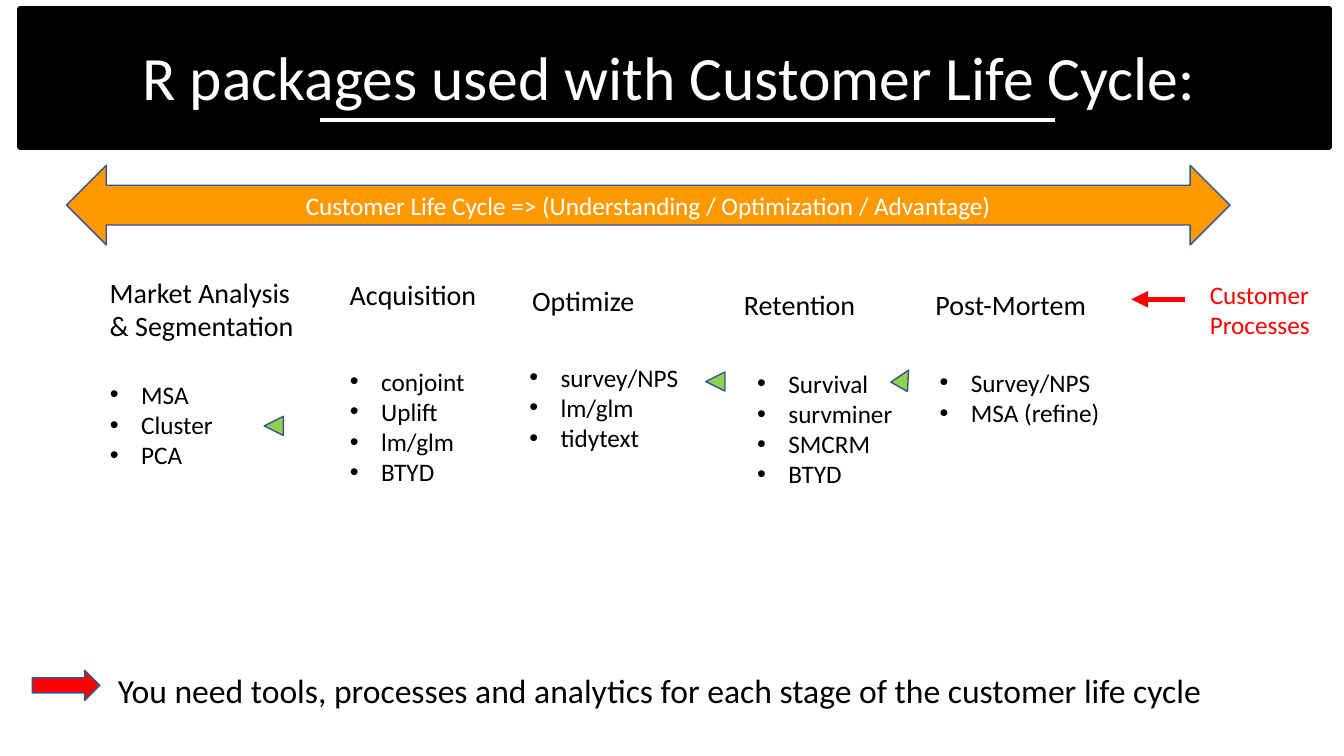
from dataclasses import dataclass

from lxml import etree
from pptx import Presentation
from pptx import util as u
from pptx.dml.color import RGBColor
from pptx.enum import shapes, text
from pptx.oxml.ns import qn

PX = 9144  # EMU, 100 px to the inch
FONT = "Calibri"
COLORS = {
    "black": "000000",
    "white": "FFFFFF",
    "orange": "FF9900",
    "red": "FF0000",
    "green": "92D050",
    "outline": "325491",
}
SHAPE = shapes.MSO_SHAPE
ALIGN = text.PP_ALIGN
BULLET_INDENT = 31


@dataclass(frozen=True)
class Box:
    left: int
    top: int
    width: int
    height: int

    def emu(self) -> tuple[int, int, int, int]:
        return self.left * PX, self.top * PX, self.width * PX, self.height * PX


@dataclass(frozen=True)
class Stage:
    heading: tuple[str, ...]
    heading_box: Box
    packages: tuple[str, ...]
    packages_box: Box


@dataclass(frozen=True)
class Marker:
    left: int
    top: int
    rotation: float


STAGES = (
    Stage(("Market Analysis", "& Segmentation"), Box(99, 268, 214, 77),
          ("MSA", "Cluster", "PCA"), Box(99, 371, 145, 131)),
    Stage(("Acquisition",), Box(337, 270, 147, 44),
          ("conjoint", "Uplift", "lm/glm", "BTYD"), Box(337, 358, 227, 192)),
    Stage(("Optimize",), Box(518, 276, 165, 44),
          ("survey/NPS", "lm/glm", "tidytext"), Box(515, 354, 182, 162)),
    Stage(("Retention",), Box(728, 280, 140, 44),
          ("Survival", "survminer", "SMCRM", "BTYD"), Box(741, 360, 169, 162)),
    Stage(("Post-Mortem",), Box(918, 280, 180, 44),
          ("Survey/NPS", "MSA (refine)"), Box(922, 359, 227, 131)),
)
MARKERS = (Marker(262, 413, 270), Marker(700, 369, 270), Marker(887, 366, 29.6))
MARKER_SIZE = 19


def rgb(color: str) -> RGBColor:
    return RGBColor.from_string(COLORS[color])


def place(sp, box: Box) -> None:
    sp.left, sp.top, sp.width, sp.height = box.emu()


def write(tf, lines: tuple[str, ...], size: int, color: str = "black",
          align=ALIGN.LEFT, anchor=text.MSO_ANCHOR.TOP) -> None:
    tf.word_wrap = True
    tf.auto_size = text.MSO_AUTO_SIZE.NONE
    tf.vertical_anchor = anchor
    for i, line in enumerate(lines):
        p = tf.paragraphs[0] if i == 0 else tf.add_paragraph()
        p.alignment = align
        p.space_before = u.Pt(0)
        r = p.add_run()
        r.text = line
        r.font.name = FONT
        r.font.size = u.Pt(size)
        r.font.color.rgb = rgb(color)


def add_label(s, box: Box, lines: tuple[str, ...], size: int,
              color: str = "black") -> None:
    write(s.shapes.add_textbox(*box.emu()).text_frame, lines, size, color)


def add_figure(s, kind, box: Box, fill: str, line: str = "outline",
               line_width: float = 1):
    sp = s.shapes.add_shape(kind, *box.emu())
    sp.shadow.inherit = False
    sp.fill.solid()
    sp.fill.fore_color.rgb = rgb(fill)
    sp.line.color.rgb = rgb(line)
    sp.line.width = u.Pt(line_width)
    return sp


def add_line(s, x1: int, x2: int, y: int, color: str, width: float,
             arrow: bool = False) -> None:
    line = s.shapes.add_connector(shapes.MSO_CONNECTOR.STRAIGHT,
                                  x1 * PX, y * PX, x2 * PX, y * PX)
    line.line.color.rgb = rgb(color)
    line.line.width = u.Pt(width)
    if arrow:
        etree.SubElement(line.line._get_or_add_ln(), qn("a:tailEnd"), type="triangle")
    etree.SubElement(line._element.spPr, qn("a:effectLst"))


def fill_package_list(body, stage: Stage) -> None:
    place(body, stage.packages_box)
    write(body.text_frame, stage.packages, 18)
    for p in body.text_frame.paragraphs:
        pPr = p._p.get_or_add_pPr()
        pPr.set("marL", str(BULLET_INDENT * PX))
        pPr.set("indent", str(-BULLET_INDENT * PX))
        etree.SubElement(pPr, qn("a:buFont"), typeface="Arial")
        etree.SubElement(pPr, qn("a:buChar"), char="•")


def add_header(s) -> None:
    band = add_figure(s, SHAPE.RECTANGLE, Box(20, 9, 1298, 137), "black", "black", 4)
    title = s.shapes.title
    title._element.addprevious(band._element)
    place(title, Box(89, 40, 1150, 79))
    write(title.text_frame, ("R packages used with Customer Life Cycle:",), 44,
          "white", ALIGN.CENTER, text.MSO_ANCHOR.MIDDLE)
    title.text_frame.paragraphs[0].line_spacing = 0.9
    add_line(s, 317, 1046, 119, "white", 2.75)


def add_stages(s, layout_body) -> None:
    for _ in STAGES[1:]:
        s.shapes.clone_placeholder(layout_body)
    idx = layout_body.placeholder_format.idx
    bodies = [b for b in s.placeholders if b.placeholder_format.idx == idx]
    for stage, body in zip(STAGES, bodies):
        add_label(s, stage.heading_box, stage.heading, 20)
        fill_package_list(body, stage)
    for m in MARKERS:
        sp = add_figure(s, SHAPE.ISOSCELES_TRIANGLE,
                        Box(m.left, m.top, MARKER_SIZE, MARKER_SIZE), "green")
        sp.rotation = m.rotation


def main() -> None:
    prs = Presentation()
    prs.slide_width, prs.slide_height = 1333 * PX, 750 * PX
    layout = prs.slide_layouts[1]
    s = prs.slides.add_slide(layout)
    for footer in [b for b in s.placeholders if b.placeholder_format.idx >= 10]:
        footer._element.getparent().remove(footer._element)

    add_header(s)
    cycle = add_figure(s, SHAPE.LEFT_RIGHT_ARROW, Box(66, 164, 1154, 79), "orange")
    write(cycle.text_frame,
          ("Customer Life Cycle => (Understanding / Optimization / Advantage)",),
          18, "white", ALIGN.CENTER, text.MSO_ANCHOR.MIDDLE)
    add_stages(s, layout.placeholders[1])

    add_line(s, 1175, 1122, 297, "red", 4, arrow=True)
    add_label(s, Box(1190, 272, 129, 71), ("Customer", "Processes"), 18, "red")

    add_figure(s, SHAPE.RIGHT_ARROW, Box(32, 665, 67, 30), "red")
    add_label(s, Box(107, 660, 1120, 50),
              ("You need tools, processes and analytics for each stage "
               "of the customer life cycle",), 24)
    prs.save("out.pptx")


if __name__ == "__main__":
    main()
